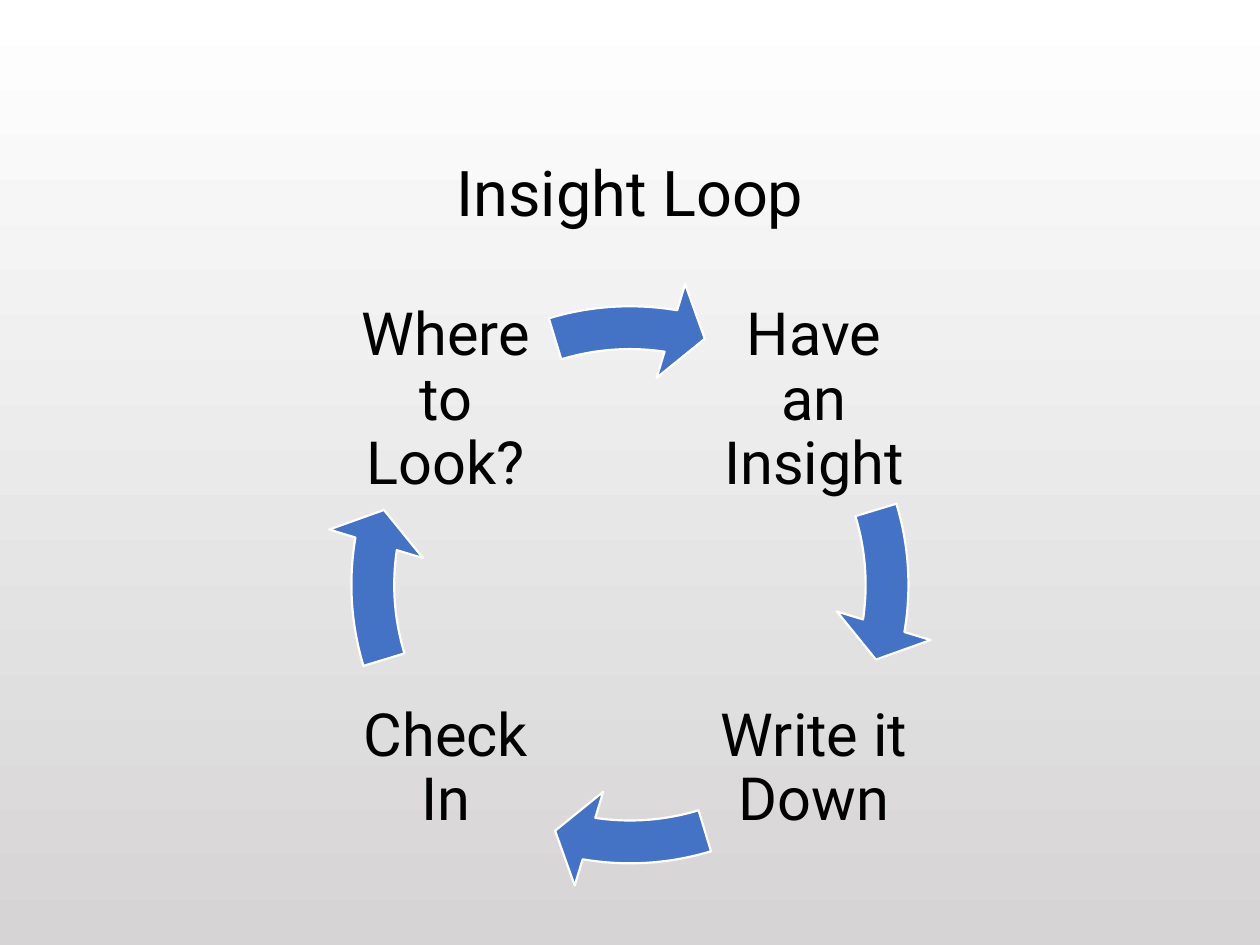
from dataclasses import dataclass

from pptx import Presentation
from pptx.dml.color import RGBColor
from pptx.enum.shapes import MSO_SHAPE as Shape
from pptx.enum.text import MSO_ANCHOR as Anchor, PP_ALIGN as Align
from pptx.util import Cm, Pt


@dataclass(frozen=True)
class Theme:
    font: str = "Roboto"
    title_size: int = 36
    step_size: int = 34
    text: RGBColor = RGBColor(0x00, 0x00, 0x00)
    arrow: RGBColor = RGBColor(0x44, 0x72, 0xC4)
    arrow_edge: RGBColor = RGBColor(0xFF, 0xFF, 0xFF)
    background: tuple = (RGBColor(0xFF, 0xFF, 0xFF), RGBColor(0xD6, 0xD4, 0xD4))


THEME = Theme()
TITLE_ONLY = 5

# Each step with the sides of the centre it sits on, clockwise from top right
STEPS = (
    ("Have an Insight", 1, -1),
    ("Write it Down", 1, 1),
    ("Check In", -1, 1),
    ("Where to Look?", -1, -1),
)


def paint_background(slide):
    fill = slide.background.fill
    fill.gradient()
    fill.gradient_angle = 270
    for stop, color in zip(fill.gradient_stops, THEME.background):
        stop.color.rgb = color


def write_centred(frame, text, size):
    frame.word_wrap = True
    frame.vertical_anchor = Anchor.MIDDLE
    paragraph = frame.paragraphs[0]
    paragraph.alignment = Align.CENTER
    paragraph.line_spacing = 0.9
    run = paragraph.add_run()
    run.text = text
    run.font.name = THEME.font
    run.font.size = Pt(size)
    run.font.color.rgb = THEME.text


def place_title(slide, text, left, top, width, height):
    title = slide.shapes.title
    title.left, title.top, title.width, title.height = left, top, width, height
    write_centred(title.text_frame, text, THEME.title_size)


def add_step(shapes, text, center_x, center_y, size):
    box = shapes.add_textbox(center_x - size // 2, center_y - size // 2, size, size)
    frame = box.text_frame
    frame.margin_left = frame.margin_right = Cm(0.13)
    frame.margin_top = frame.margin_bottom = Cm(0.13)
    write_centred(frame, text, THEME.step_size)


def add_arc_arrow(shapes, left, top, size, turn):
    """Add an arrow on the ring, turned clockwise by the given degrees."""
    arrow = shapes.add_shape(Shape.CIRCULAR_ARROW, left, top, size, size)
    arrow.shadow.inherit = False
    arrow.fill.solid()
    arrow.fill.fore_color.rgb = THEME.arrow
    arrow.line.color.rgb = THEME.arrow_edge
    arrow.line.width = Pt(1.25)
    angle_unit = 0.6  # adjustment value of one degree
    head, tail = (9.17 + turn) % 360, (343.08 + turn) % 360
    values = (0.07, 7.75 * angle_unit, head * angle_unit, tail * angle_unit, 0.08)
    for index, value in enumerate(values):
        arrow.adjustments[index] = value


def add_loop(slide, left, top, size):
    """Place the steps around the centre of a square, an arrow after each."""
    shapes = slide.shapes.add_group_shape().shapes
    center_x, center_y = left + size // 2, top + size // 2
    offset = Cm(3.71)
    for index, (text, side_x, side_y) in enumerate(STEPS):
        add_step(shapes, text, center_x + side_x * offset,
                 center_y + side_y * offset, Cm(4.37))
        add_arc_arrow(shapes, left, top, size, index * 360 / len(STEPS))


def main():
    presentation = Presentation()
    presentation.slide_width, presentation.slide_height = Cm(25.4), Cm(19.05)
    slide = presentation.slides.add_slide(presentation.slide_layouts[TITLE_ONLY])
    paint_background(slide)
    place_title(slide, "Insight Loop", Cm(1.9), Cm(1.73), Cm(21.6), Cm(4.45))
    add_loop(slide, Cm(6.53), Cm(5.62), Cm(12.34))
    presentation.save("out.pptx")


if __name__ == "__main__":
    main()
